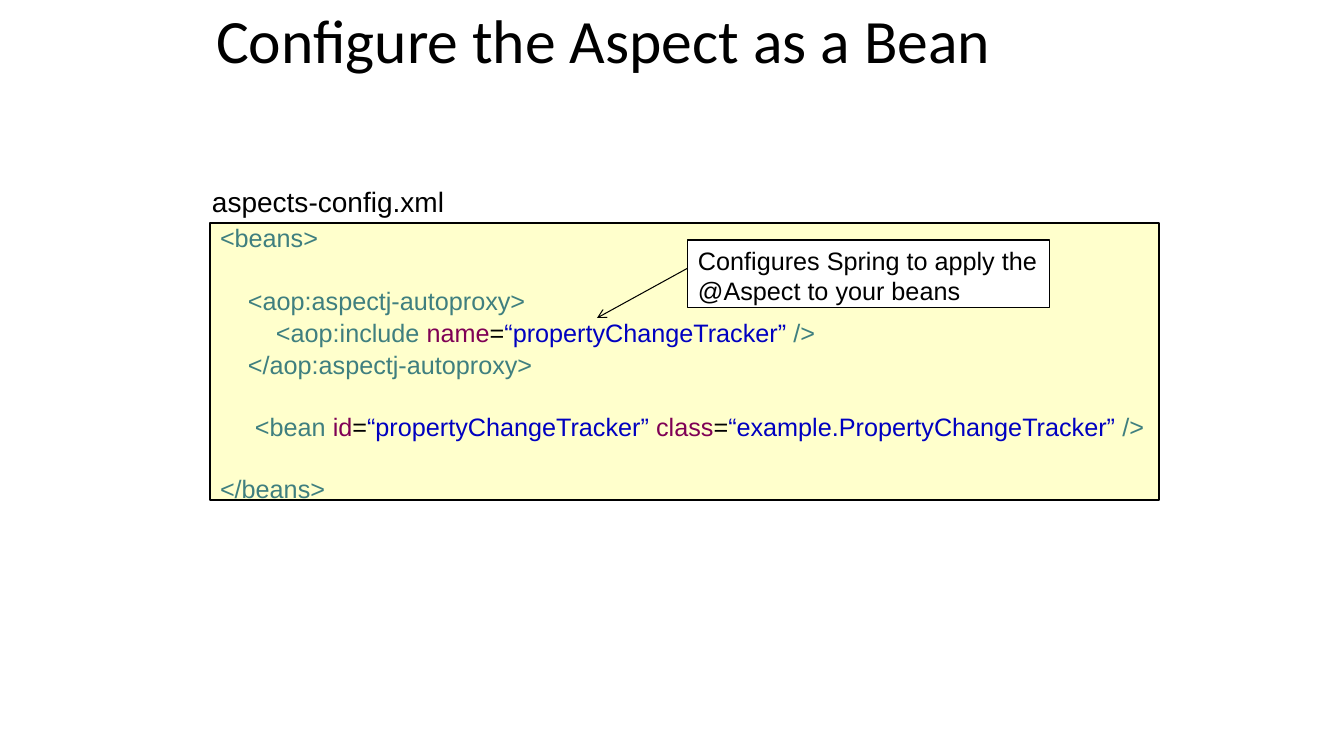
from lxml import etree
from pptx import Presentation
from pptx.dml.color import RGBColor
from pptx.enum.shapes import MSO_CONNECTOR as CONN, MSO_SHAPE as SHAPE
from pptx.enum.text import MSO_ANCHOR as ANCHOR, MSO_AUTO_SIZE as AUTO, PP_ALIGN as ALIGN
from pptx.oxml.ns import qn
from pptx.util import Emu, Pt

PX = 914400 / 100.8
BLACK, TAG, ATTR, VALUE = "000000", "3F7F7F", "7F0055", "0000C0"

# Each line: line spacing, space before, coloured pieces
CODE = [
    (0.8, 0, [("<beans>", TAG)]),
    (0.85, 27, [("    <aop:aspectj-autoproxy>", TAG)]),
    (0.85, 4.5, [("        <aop:include ", TAG), ("name", ATTR), ("=", BLACK),
                 ("“propertyChangeTracker” ", VALUE), ("/>", TAG)]),
    (0.85, 4.5, [("    </aop:aspectj-autoproxy>", TAG)]),
    (0.8, 27, [("     <bean ", TAG), ("id", ATTR), ("=", BLACK),
               ("“propertyChangeTracker” ", VALUE), ("class", ATTR), ("=", BLACK),
               ("“example.PropertyChangeTracker” ", VALUE), ("/>", TAG)]),
    (0.8, 27, [("</beans>", TAG)]),
]


def px(n):
    return Emu(round(n * PX))


def rgb(color):
    return RGBColor.from_string(color)


def style(font, size, color, name="Arial"):
    font.size, font.name, font.color.rgb = Pt(size), name, rgb(color)


def set_frame(tf, anchor=ANCHOR.TOP, wrap=True):
    tf.auto_size, tf.word_wrap, tf.vertical_anchor = AUTO.NONE, wrap, anchor
    tf.margin_left = tf.margin_right = px(10)
    tf.margin_top = tf.margin_bottom = px(5)


def add_panel(s, box, fill, width):
    sp = s.shapes.add_shape(SHAPE.RECTANGLE, *map(px, box))
    sp.shadow.inherit = False
    sp.fill.solid()
    sp.fill.fore_color.rgb = rgb(fill)
    sp.line.color.rgb = rgb(BLACK)
    sp.line.width = Pt(width)
    return sp


def add_title(s, box, text):
    sp = s.shapes.title
    sp.left, sp.top, sp.width, sp.height = map(px, box)
    tf = sp.text_frame
    set_frame(tf, ANCHOR.MIDDLE)
    tf.text = text
    p = tf.paragraphs[0]
    p.alignment, p.line_spacing = ALIGN.LEFT, 0.9
    style(p.runs[0].font, 44, BLACK, "Calibri")


def add_text(tf, text, size):
    set_frame(tf, wrap=False)
    tf.text = text
    for p in tf.paragraphs:
        p.alignment = ALIGN.LEFT
        style(p.font, size, BLACK)
        for r in p.runs:
            style(r.font, size, BLACK)


def add_code(s, box):
    x, y, w, h = box
    # File name above the listing
    label = s.shapes.add_textbox(px(x - 8), px(y - 43), px(254), px(43))
    add_text(label.text_frame, "aspects-config.xml", 20)
    # Listing
    tf = add_panel(s, box, "FFFFCC", 1).text_frame
    set_frame(tf)
    for i, (spacing, before, pieces) in enumerate(CODE):
        p = tf.paragraphs[0] if i == 0 else tf.add_paragraph()
        p.alignment, p.line_spacing, p.space_before = ALIGN.LEFT, spacing, Pt(before)
        for text, color in pieces:
            r = p.add_run()
            r.text = text
            style(r.font, 18, color)


def add_callout(s, box, dx, dy):
    x, y, w, h = box
    # Arrow from the note to the include line
    arrow = s.shapes.add_connector(CONN.STRAIGHT, px(x), px(y + 28), px(x + dx), px(y + dy))
    arrow.line.color.rgb = rgb(BLACK)
    arrow.line.width = Pt(0.75)
    etree.SubElement(arrow.line._get_or_add_ln(), qn("a:tailEnd"), type="arrow")
    etree.SubElement(arrow._element.spPr, qn("a:effectLst"))
    # Note
    note = add_panel(s, box, "FFFFFF", 0.75)
    add_text(note.text_frame, "Configures Spring to apply the\n@Aspect to your beans", 18)


def main():
    prs = Presentation()
    prs.slide_width, prs.slide_height = px(1344), px(756)
    s = prs.slides.add_slide(prs.slide_layouts[5])
    add_title(s, (206, 5, 844, 78), "Configure the Aspect as a Bean")
    add_code(s, (210, 223, 949, 277))
    add_callout(s, (688, 240, 362, 68), -91, 78)
    prs.save("out.pptx")


if __name__ == "__main__":
    main()
